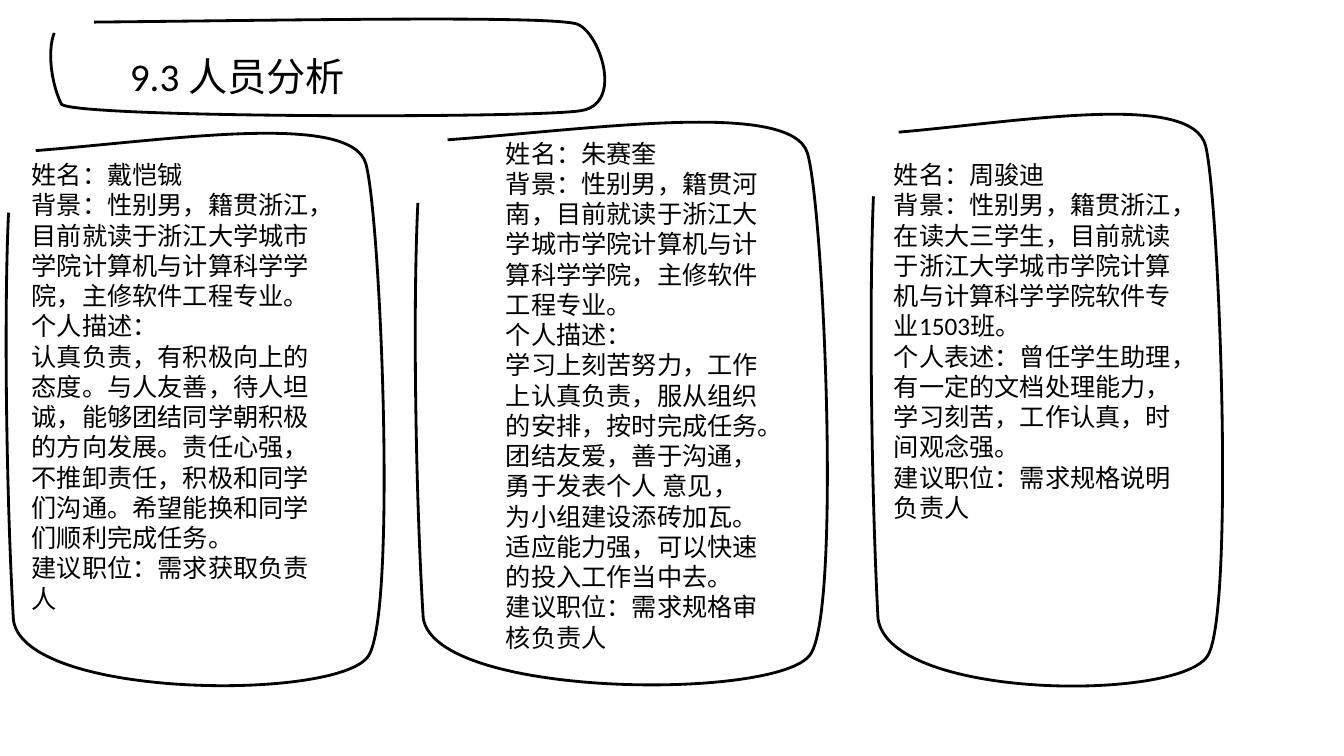
from lxml.etree import SubElement
from pptx import Presentation
from pptx.dml.color import RGBColor
from pptx.enum.text import MSO_ANCHOR, MSO_AUTO_SIZE, PP_ALIGN
from pptx.oxml.ns import qn
from pptx.util import Cm, Pt

BLACK = RGBColor(0, 0, 0)
WHITE = RGBColor(255, 255, 255)

# Content: each box is left, top, width, height in cm; \v is a line break
TITLE = "9.3 人员分析"
TITLE_FRAME = (1.27, 0.48, 13.97, 2.44)
TITLE_BOX = (3.02, 0, 11.84, 5.05)
PEOPLE = [
    dict(frame=(21.95, 2.87, 8.86, 14.43), box=(22.28, 3.89, 7.67, 10.26), lines=[
        "姓名：周骏迪",
        "背景：性别男，籍贯浙江，在读大三学生，目前就读于浙江大学城市学院计算机与计算科学学院软件专业1503班。",
        "个人表述：曾任学生助理，有一定的文档处理能力，学习刻苦，工作认真，时间观念强。",
        "建议职位：需求规格说明负责人",
    ]),
    dict(frame=(10.46, 3.07, 10.39, 14.2), box=(12.5, 3.35, 6.99, 14.1), lines=[
        "姓名：朱赛奎\v"
        "背景：性别男，籍贯河南，目前就读于浙江大学城市学院计算机与计算科学学院，主修软件工程专业。\v"
        "个人描述：\v"
        "学习上刻苦努力，工作上认真负责，服从组织的安排，按时完成任务。团结友爱，善于沟通，"
        "勇于发表个人 意见，为小组建设添砖加瓦。适应能力强，可以快速的投入工作当中去。",
        "建议职位：需求规格审核负责人",
    ]),
    dict(frame=(0.15, 3.35, 9.53, 13.94), box=(0.55, 3.89, 7.72, 12.57), lines=[
        "姓名：戴恺铖",
        "背景：性别男，籍贯浙江，目前就读于浙江大学城市学院计算机与计算科学学院，主修软件工程专业。",
        "个人描述：",
        "认真负责，有积极向上的态度。与人友善，待人坦诚，能够团结同学朝积极的方向发展。"
        "责任心强，不推卸责任，积极和同学们沟通。希望能换和同学们顺利完成任务。",
        "建议职位：需求获取负责人",
    ]),
]

# Hand-drawn outline as a chain of cubic curves, in thousandths of the frame
UNIT = 1000
START = (79, 32)
CURVES = [
    ((434, 13), (914, -39), (952, 56)),
    ((991, 153), (1034, 865), (959, 945)),
    ((885, 1027), (51, 1024), (20, 881)),
    ((2, 669), (-6, 335), (7, 144)),
]


def add_step(path, kind, dots):
    step = SubElement(path, qn(kind))
    for x, y in dots:
        SubElement(step, qn("a:pt"), x=str(x), y=str(y))


def draw_frame(slide, frame):
    left, top, width, height = map(Cm, frame)
    pen = slide.shapes.build_freeform(left, top)
    pen.add_line_segments([(left + width, top + height)], close=False)
    shape = pen.convert_to_shape()
    shape.shadow.inherit = False
    shape.fill.solid()
    shape.fill.fore_color.rgb = WHITE
    shape.line.color.rgb = BLACK
    shape.line.width = Pt(2)

    # Bend the outline: the diagonal gives way to the curves
    path = next(shape._element.iter(qn("a:path")))
    for step in list(path):
        path.remove(step)
    path.set("w", str(UNIT))
    path.set("h", str(UNIT))
    add_step(path, "a:moveTo", [START])
    for curve in CURVES:
        add_step(path, "a:cubicBezTo", curve)


def write(shape, lines, size=18, font="Calibri", color=BLACK,
          inset=0.13, fit=MSO_AUTO_SIZE.SHAPE_TO_FIT_TEXT):
    frame = shape.text_frame
    frame.word_wrap = True
    frame.auto_size = fit
    frame.vertical_anchor = MSO_ANCHOR.TOP
    frame.margin_top = Cm(inset)
    frame.text = "\n".join(lines)
    for para in frame.paragraphs:
        para.alignment = PP_ALIGN.LEFT
        para.font.size = Pt(size)
        for run in para.runs:
            run.font.size = Pt(size)
            run.font.name = font
            run.font.color.rgb = color


def main():
    deck = Presentation()
    deck.slide_width, deck.slide_height = Cm(33.87), Cm(19.05)
    slide = deck.slides.add_slide(deck.slide_layouts[5])

    # Outlines
    for person in PEOPLE:
        draw_frame(slide, person["frame"])
    draw_frame(slide, TITLE_FRAME)

    # Title, brought in front of its outline
    title = slide.shapes.title
    title.left, title.top, title.width, title.height = map(Cm, TITLE_BOX)
    write(title, [TITLE], size=28, inset=1.32, fit=MSO_AUTO_SIZE.NONE)
    slide.shapes._spTree.append(title._element)

    # Personal details
    for person in reversed(PEOPLE):
        box = slide.shapes.add_textbox(*map(Cm, person["box"]))
        write(box, person["lines"])

    deck.save("out.pptx")


if __name__ == "__main__":
    main()
